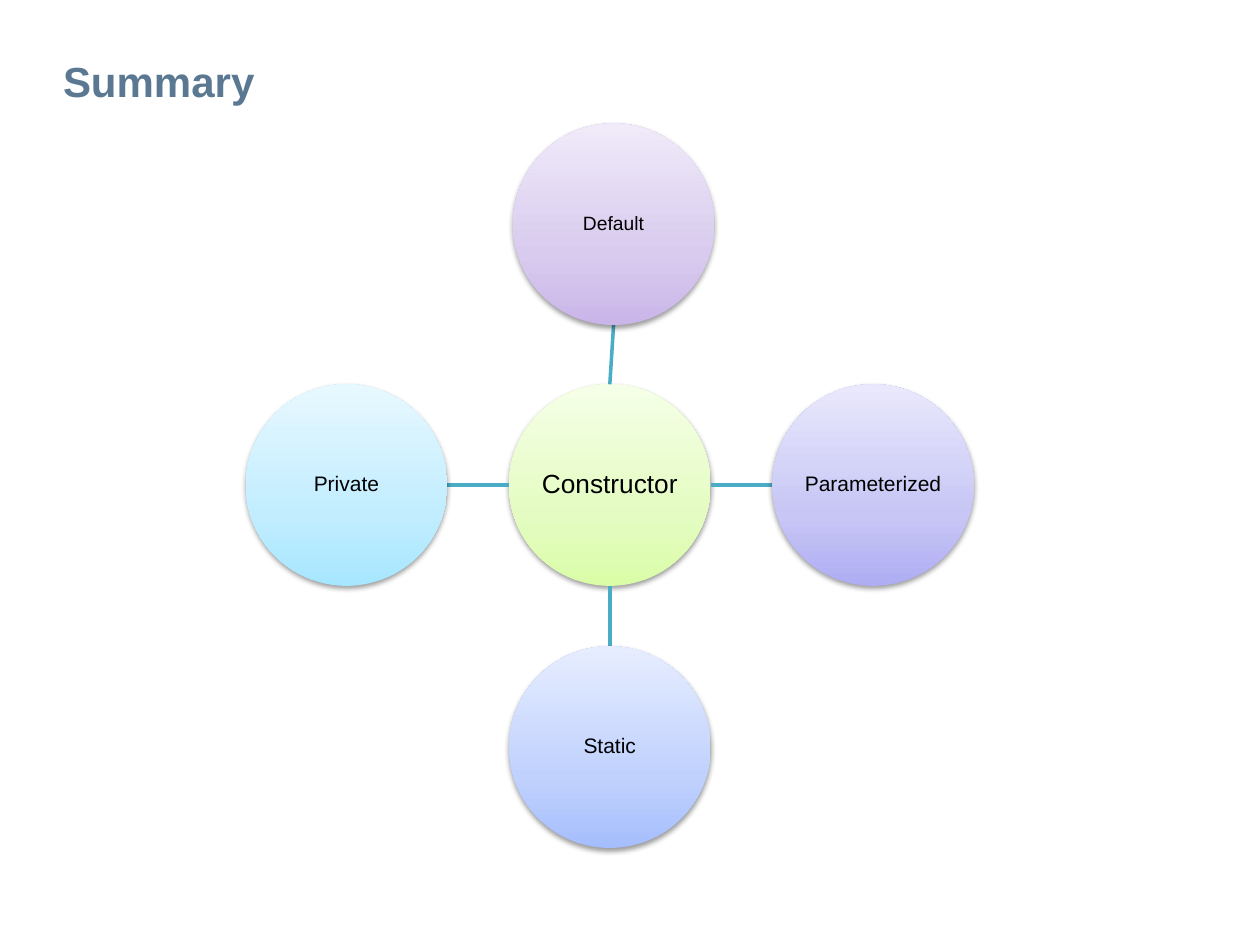
from dataclasses import dataclass

from lxml.etree import SubElement
from pptx import Presentation
from pptx.dml.color import RGBColor
from pptx.enum.shapes import MSO_CONNECTOR, MSO_SHAPE
from pptx.enum.text import MSO_ANCHOR, MSO_AUTO_SIZE, PP_ALIGN
from pptx.oxml.ns import qn
from pptx.slide import Slide
from pptx.text.text import TextFrame
from pptx.util import Inches, Pt


@dataclass(frozen=True)
class Theme:
    font: str = "Arial"
    heading: str = "5B7893"
    text: str = "000000"
    spoke: str = "4BACC6"
    shadow: str = "000000"
    heading_size: int = 24
    hub_size: int = 15
    kind_size: int = 12
    small_size: int = 11
    spoke_width: int = 2


@dataclass(frozen=True)
class Circle:
    label: str
    left: float
    top: float
    size: int
    gradient: tuple[str, str, str]  # bottom to top
    direction: tuple[int, int] = (0, 0)  # side of the hub: right, down


THEME = Theme()
DIAMETER = 1.6
RADIUS = DIAMETER / 2
STOPS = (0, 35, 100)

HUB = Circle("Constructor", 4.04, 3.05, THEME.hub_size,
             ("DAFDA7", "E4FCC2", "F5FFE7"))
KINDS = (
    Circle("Default", 4.07, 0.98, THEME.small_size,
           ("C9B5E8", "D8CBEE", "F0EAF9"), (0, -1)),
    Circle("Parameterized", 6.13, 3.05, THEME.kind_size,
           ("AFADF3", "C7C6F5", "E9E8FC"), (1, 0)),
    Circle("Static", 4.04, 5.13, THEME.kind_size,
           ("A5BEFD", "C0D1FD", "E6EDFF"), (0, 1)),
    Circle("Private", 1.95, 3.05, THEME.kind_size,
           ("A7E6FF", "C1EDFF", "E7F8FF"), (-1, 0)),
)


def write(frame: TextFrame, words: str, size: int, color: str,
          align: PP_ALIGN, bold: bool = False) -> None:
    paragraph = frame.paragraphs[0]
    paragraph.alignment = align
    run = paragraph.add_run()
    run.text = words
    run.font.name = THEME.font
    run.font.size = Pt(size)
    run.font.bold = bold
    run.font.color.rgb = RGBColor.from_string(color)


def set_margins(frame: TextFrame, side: float, top: float, bottom: float) -> None:
    frame.margin_left = frame.margin_right = Inches(side)
    frame.margin_top = Inches(top)
    frame.margin_bottom = Inches(bottom)


def draw_circle(slide: Slide, circle: Circle) -> None:
    oval = slide.shapes.add_shape(
        MSO_SHAPE.OVAL, Inches(circle.left), Inches(circle.top),
        Inches(DIAMETER), Inches(DIAMETER))
    oval.line.fill.background()

    # Three-stop gradient running upwards
    oval.fill.gradient()
    oval.fill.gradient_angle = 90
    properties = oval.element.spPr
    stops = properties.find(qn("a:gradFill")).find(qn("a:gsLst"))
    for stop in list(stops):
        stops.remove(stop)
    for position, color in zip(STOPS, circle.gradient):
        stop = SubElement(stops, qn("a:gs"), pos=str(position * 1000))
        SubElement(stop, qn("a:srgbClr"), val=color)

    # Soft shadow below
    oval.shadow.inherit = False
    shadow = SubElement(
        properties.find(qn("a:effectLst")), qn("a:outerShdw"),
        blurRad=str(Pt(3.1)), dist=str(Pt(1.6)), dir="5400000", rotWithShape="0")
    shade = SubElement(shadow, qn("a:srgbClr"), val=THEME.shadow)
    SubElement(shade, qn("a:alpha"), val="38000")

    frame = oval.text_frame
    frame.word_wrap = True
    frame.vertical_anchor = MSO_ANCHOR.MIDDLE
    set_margins(frame, 0.01, 0.01, 0.01)
    write(frame, circle.label, circle.size, THEME.text, PP_ALIGN.CENTER)
    frame.paragraphs[0].line_spacing = 0.9


def edge(circle: Circle, right: int, down: int) -> tuple[Inches, Inches]:
    return (Inches(circle.left + RADIUS * (1 + right)),
            Inches(circle.top + RADIUS * (1 + down)))


def draw_spoke(slide: Slide, kind: Circle) -> None:
    right, down = kind.direction
    spoke = slide.shapes.add_connector(
        MSO_CONNECTOR.STRAIGHT, *edge(HUB, right, down), *edge(kind, -right, -down))
    spoke.line.color.rgb = RGBColor.from_string(THEME.spoke)
    spoke.line.width = Pt(THEME.spoke_width)
    SubElement(spoke.element.spPr, qn("a:effectLst"))


def main() -> None:
    deck = Presentation()
    deck.slide_width, deck.slide_height = Inches(10), Inches(7.5)
    slide = deck.slides.add_slide(deck.slide_layouts[5])

    # Title
    heading = slide.shapes.title
    heading.left, heading.top = Inches(0.5), Inches(0.02)
    heading.width, heading.height = Inches(9), Inches(0.87)
    frame = heading.text_frame
    frame.auto_size = MSO_AUTO_SIZE.NONE
    frame.vertical_anchor = MSO_ANCHOR.BOTTOM
    set_margins(frame, 0, 0, 0.05)
    write(frame, "Summary", THEME.heading_size, THEME.heading, PP_ALIGN.LEFT, bold=True)

    # Hub with its constructor kinds
    draw_circle(slide, HUB)
    for kind in KINDS:
        draw_spoke(slide, kind)
        draw_circle(slide, kind)

    deck.save("out.pptx")


main()
